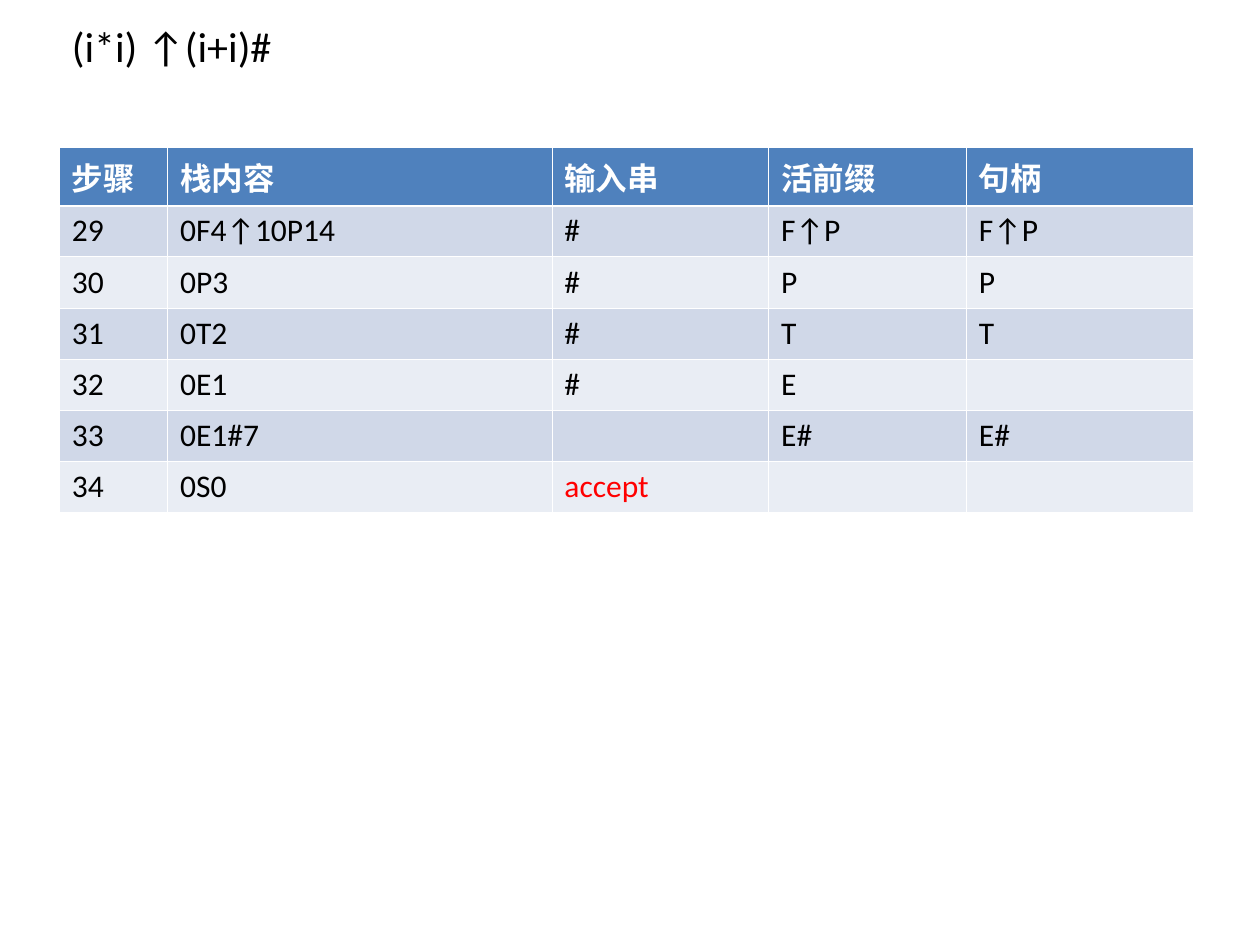
from lxml.etree import SubElement
from pptx import Presentation
from pptx.dml.color import RGBColor
from pptx.enum.text import MSO_ANCHOR, PP_ALIGN
from pptx.oxml.ns import qn
from pptx.util import Inches, Pt

# Content
TITLE = "(i*i) ↑(i+i)#"
HEADERS = ["步骤", "栈内容", "输入串", "活前缀", "句柄"]
STEPS = [
    ["29", "0F4↑10P14", "#", "F↑P", "F↑P"],
    ["30", "0P3", "#", "P", "P"],
    ["31", "0T2", "#", "T", "T"],
    ["32", "0E1", "#", "E", ""],
    ["33", "0E1#7", "", "E#", "E#"],
    ["34", "0S0", "accept", "", ""],
]

# Style
FONT = "Calibri"
BLACK = RGBColor(0x00, 0x00, 0x00)
WHITE = RGBColor(0xFF, 0xFF, 0xFF)
RED = RGBColor(0xFF, 0x00, 0x00)
HEADER_FILL = RGBColor(0x4F, 0x81, 0xBD)
BAND_FILLS = [RGBColor(0xE9, 0xED, 0xF4), RGBColor(0xD0, 0xD8, 0xE8)]
THIN, THICK = Pt(0.45), Pt(1.47)

# Layout in inches
LEFT, WIDTH = 0.47, 9
TITLE_HEIGHT = 0.72
TABLE_TOP = 1.17
ROW_HEIGHT = 0.405
COLUMN_WIDTHS = [0.86, 3.05, 1.72, 1.57, 1.8]


def format_text(paragraph, size, color, bold=False):
    for run in paragraph.runs:
        font = run.font
        font.name, font.size, font.bold = FONT, Pt(size), bold
        font.color.rgb = color


def add_border(cell, side, width):
    properties = cell._tc.get_or_add_tcPr()
    line = SubElement(properties, qn(f"a:ln{side}"), w=str(int(width)))
    fill = SubElement(line, qn("a:solidFill"))
    SubElement(fill, qn("a:srgbClr"), val=str(WHITE))


def format_cell(cell, row):
    # A thicker rule separates the header from the steps
    widths = {"L": THIN, "R": THIN,
              "T": THICK if row == 1 else THIN,
              "B": THICK if row == 0 else THIN}
    for side, width in widths.items():
        add_border(cell, side, width)
    is_header = row == 0
    cell.fill.solid()
    cell.fill.fore_color.rgb = HEADER_FILL if is_header else BAND_FILLS[row % 2]
    color = WHITE if is_header else RED if cell.text == "accept" else BLACK
    format_text(cell.text_frame.paragraphs[0], 18, color, bold=is_header)


def main():
    presentation = Presentation()
    presentation.slide_width, presentation.slide_height = Inches(10), Inches(7.5)
    slide = presentation.slides.add_slide(presentation.slide_layouts[5])

    # Title
    title = slide.shapes.title
    title.left, title.top = Inches(LEFT), Inches(0)
    title.width, title.height = Inches(WIDTH), Inches(TITLE_HEIGHT)
    title.text_frame.text = TITLE
    title.text_frame.vertical_anchor = MSO_ANCHOR.MIDDLE
    paragraph = title.text_frame.paragraphs[0]
    paragraph.alignment = PP_ALIGN.LEFT
    format_text(paragraph, 24, BLACK)

    # Table of parsing steps
    rows = [HEADERS] + STEPS
    table = slide.shapes.add_table(
        len(rows), len(HEADERS), Inches(LEFT), Inches(TABLE_TOP),
        Inches(WIDTH), Inches(ROW_HEIGHT * len(rows))).table
    for column, width in zip(table.columns, COLUMN_WIDTHS):
        column.width = Inches(width)
    for row, texts in enumerate(rows):
        table.rows[row].height = Inches(ROW_HEIGHT)
        for column, text in enumerate(texts):
            cell = table.cell(row, column)
            cell.text_frame.text = text
            format_cell(cell, row)

    presentation.save("out.pptx")


if __name__ == "__main__":
    main()
